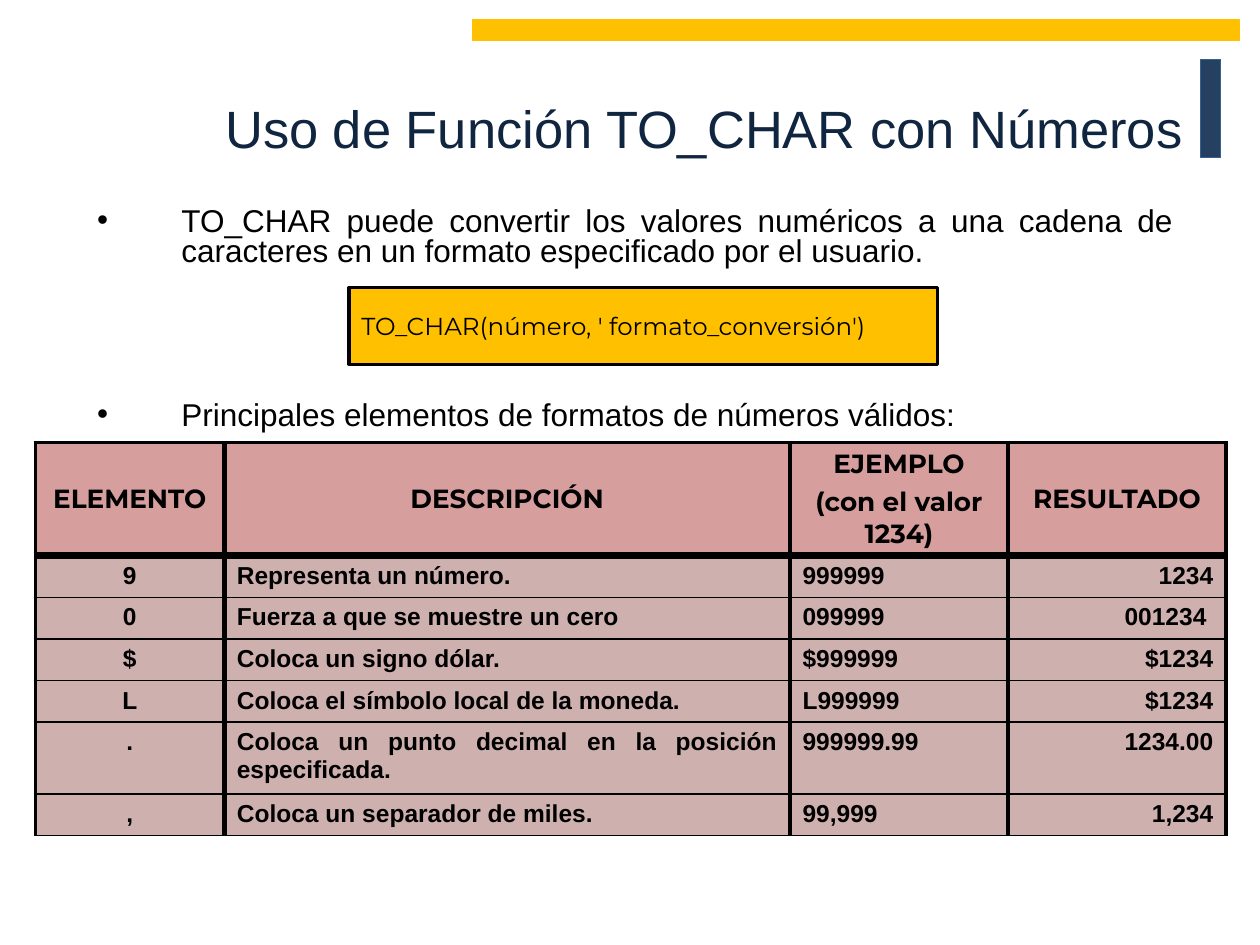
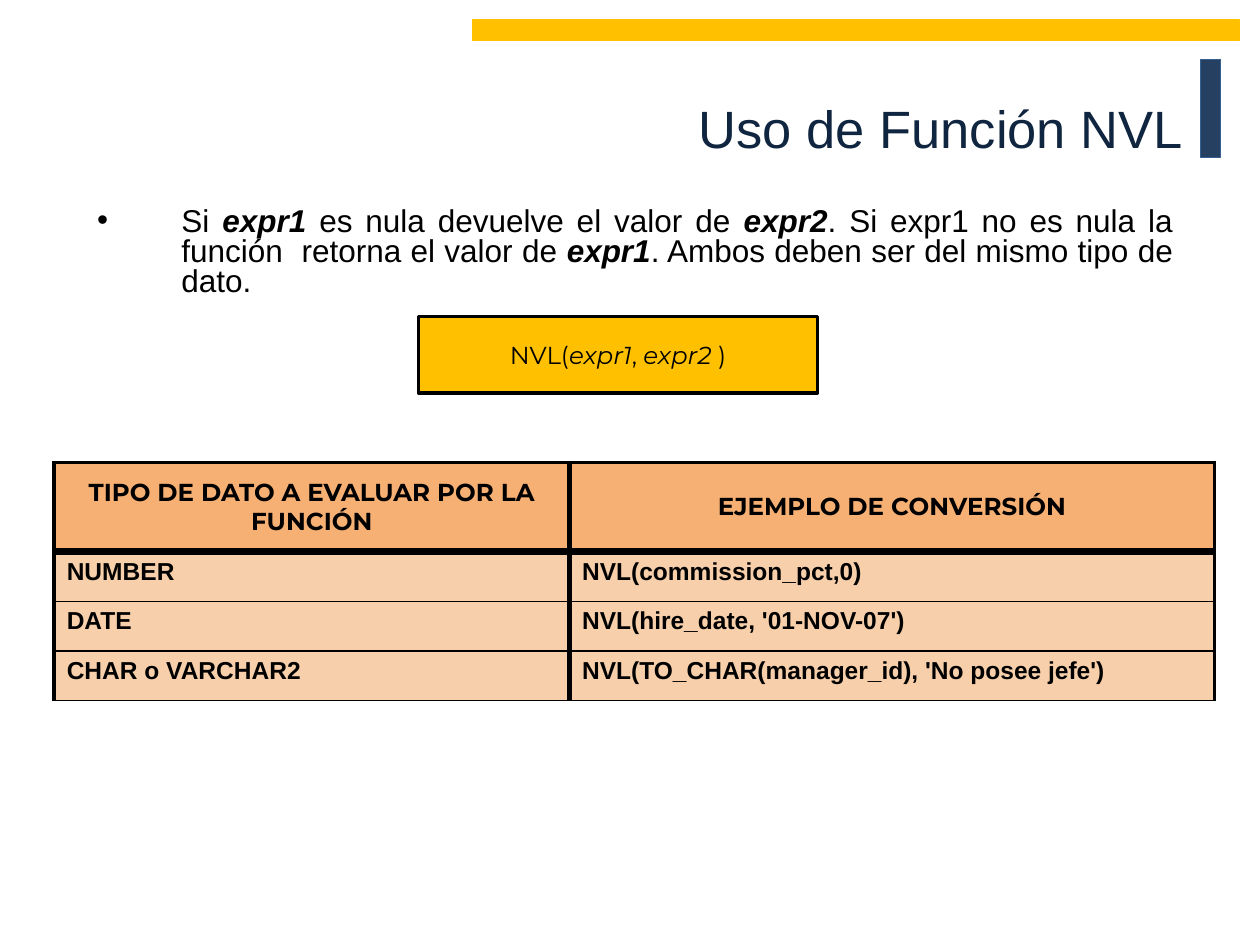
from dataclasses import dataclass

from lxml.etree import SubElement
from pptx import Presentation
from pptx.dml.color import RGBColor
from pptx.enum.shapes import MSO_SHAPE
from pptx.enum.text import MSO_ANCHOR, MSO_AUTO_SIZE, PP_ALIGN
from pptx.oxml.ns import qn
from pptx.util import Emu, Inches, Pt

# Shared look
COLORS = {
    "black": "000000",
    "navy": "254061",
    "navy_edge": "376092",
    "title": "10253F",
    "gold": "FFC000",
    "rose": "D69F9E",
    "rose_light": "CEB0AF",
    "orange": "F7B074",
    "orange_light": "F7CFAA",
}
SANS, DISPLAY = "Arial", "Montserrat"
LEFT, CENTER, RIGHT, JUSTIFY = (
    PP_ALIGN.LEFT, PP_ALIGN.CENTER, PP_ALIGN.RIGHT, PP_ALIGN.JUSTIFY)

# The slide is a grid of 100 columns and 75 rows of square units
SLIDE_WIDTH, SLIDE_HEIGHT = Inches(10), Inches(7.5)
UNIT = SLIDE_WIDTH / 100

# Table rule weights in points
OUTER, INNER, FIRST_COLUMN, HEADER_RULE, ROW_RULE = 2.25, 2.25, 3, 4.5, 1


@dataclass(frozen=True)
class Box:
    col: float
    row: float
    cols: float
    rows: float

    def place(self) -> tuple:
        return tuple(grid(n) for n in (self.col, self.row, self.cols, self.rows))


@dataclass(frozen=True)
class Bar:
    box: Box
    fill: str
    edge: str


@dataclass(frozen=True)
class Syntax:
    """Framed function call; parts between asterisks are italic."""
    box: Box
    text: str
    align: PP_ALIGN


@dataclass(frozen=True)
class Grid:
    box: Box
    widths: tuple
    heights: tuple
    aligns: tuple
    header_fill: str
    body_fill: str
    header_size: int
    rows: tuple


@dataclass(frozen=True)
class Topic:
    title: str
    bullets: tuple
    syntax: Syntax
    table: Grid


TITLE_BOX = Box(9.7, 2.1, 85.2, 16)
BODY_BOX = Box(6.7, 16, 87.4, 4.5)
BARS = (
    Bar(Box(95.3, 4.7, 1.6, 7.8), "navy", "navy_edge"),
    Bar(Box(37.5, 1.6, 60.9, 1.6), "gold", "gold"),
)
BULLET_GAP = Pt(76.5)  # leaves room for the syntax box between bullets

TOPICS = (
    Topic(
        "Uso de Función TO_CHAR con Números",
        ("TO_CHAR puede convertir los valores numéricos a una cadena de "
         "caracteres en un formato especificado por el usuario.",
         "Principales elementos de formatos de números válidos:"),
        Syntax(Box(27.7, 22.8, 46.7, 6.1),
               "TO_CHAR(número, ' formato_conversión')", LEFT),
        Grid(
            Box(2.8, 35.1, 94.5, 31.3),
            (15, 44.9, 17.3, 17.3),
            (9, 3.3, 3.3, 3.3, 3.3, 5.7, 3.3),
            (CENTER, JUSTIFY, LEFT, RIGHT),
            "rose", "rose_light", 15,
            (("ELEMENTO", "DESCRIPCIÓN", "EJEMPLO\n(con el valor 1234)", "RESULTADO"),
             ("9", "Representa un número.", "999999", "1234"),
             ("0", "Fuerza a que se muestre un cero", "099999", "001234 "),
             ("$", "Coloca un signo dólar.", "$999999", "$1234"),
             ("L", "Coloca el símbolo local de la moneda.", "L999999", "$1234"),
             (".", "Coloca un punto decimal en la posición especificada.",
              "999999.99", "1234.00"),
             (",", "Coloca un separador de miles.", "99,999", "1,234")),
        ),
    ),
    Topic(
        "Uso de Función NVL",
        ("Si *expr1* es nula devuelve el valor de *expr2*. Si expr1 no es nula "
         "la función  retorna el valor de *expr1*. Ambos deben ser del mismo "
         "tipo de dato.",),
        Syntax(Box(33.2, 25.1, 31.7, 6.1), "NVL(*expr1*, *expr2 *)", CENTER),
        Grid(
            Box(4.3, 36.7, 92.1, 18.9),
            (40.9, 51.2),
            (7.1, 3.93, 3.93, 3.93),
            (LEFT, LEFT),
            "orange", "orange_light", 14,
            (("TIPO DE DATO A EVALUAR POR LA FUNCIÓN", "EJEMPLO DE CONVERSIÓN"),
             ("NUMBER", "NVL(commission_pct,0)"),
             ("DATE", "NVL(hire_date, '01-NOV-07')"),
             ("CHAR o VARCHAR2", "NVL(TO_CHAR(manager_id), 'No posee jefe')")),
        ),
    ),
)


def grid(units: float) -> Emu:
    return Emu(round(units * UNIT))


def rgb(name: str) -> RGBColor:
    return RGBColor.from_string(COLORS[name])


def style_runs(paragraph, font: str, size: float, color: str = "black",
               bold: bool = False) -> None:
    for run in paragraph.runs:
        run.font.name = font
        run.font.size = Pt(size)
        run.font.bold = bold
        run.font.color.rgb = rgb(color)


def write_marked(paragraph, text: str, font: str, size: float,
                 bold_marks: bool) -> None:
    """Write text whose parts between asterisks are emphasised."""
    parts = text.split("*")
    for part in parts:
        paragraph.add_run().text = part
    style_runs(paragraph, font, size)
    for run in paragraph.runs[1::2]:
        run.font.italic = True
        run.font.bold = bold_marks


def add_block(slide, box: Box, fill: str, edge: str, weight: float):
    block = slide.shapes.add_shape(MSO_SHAPE.RECTANGLE, *box.place())
    block.shadow.inherit = False
    block.fill.solid()
    block.fill.fore_color.rgb = rgb(fill)
    block.line.color.rgb = rgb(edge)
    block.line.width = Pt(weight)
    return block


def set_place(shape, box: Box) -> None:
    shape.left, shape.top, shape.width, shape.height = box.place()


def write_title(slide, text: str) -> None:
    title = slide.shapes.title
    set_place(title, TITLE_BOX)
    frame = title.text_frame
    frame.text = text
    frame.auto_size = MSO_AUTO_SIZE.NONE
    frame.vertical_anchor = MSO_ANCHOR.MIDDLE
    frame.paragraphs[0].alignment = RIGHT
    style_runs(frame.paragraphs[0], SANS, 30, "title")


def write_bullets(slide, bullets: tuple) -> None:
    body = slide.placeholders[1]
    set_place(body, BODY_BOX)
    frame = body.text_frame
    frame.auto_size = MSO_AUTO_SIZE.NONE
    for index, text in enumerate(bullets):
        bullet = frame.add_paragraph() if index else frame.paragraphs[0]
        write_marked(bullet, text, SANS, 18, bold_marks=True)
        bullet.alignment = JUSTIFY
        bullet.line_spacing = 0.8
        if index:
            bullet.space_before = BULLET_GAP
        # Hanging indent
        properties = bullet._p.get_or_add_pPr()
        properties.set("marL", str(grid(6.7)))
        properties.set("indent", str(-grid(6.7)))


def add_syntax(slide, syntax: Syntax) -> None:
    frame = add_block(slide, syntax.box, "gold", "black", 1.75).text_frame
    frame.word_wrap = True
    frame.vertical_anchor = MSO_ANCHOR.MIDDLE
    call = frame.paragraphs[0]
    call.alignment = syntax.align
    write_marked(call, syntax.text, DISPLAY, 14, bold_marks=False)


def set_borders(cell, weights: dict) -> None:
    properties = cell._tc.get_or_add_tcPr()
    for side, weight in weights.items():
        line = SubElement(properties, qn(f"a:ln{side}"), w=str(Pt(weight)))
        fill = SubElement(line, qn("a:solidFill"))
        SubElement(fill, qn("a:srgbClr"), val=COLORS["black"])


def add_grid(slide, spec: Grid) -> None:
    last_col = len(spec.widths) - 1
    table = slide.shapes.add_table(
        len(spec.rows), len(spec.widths), *spec.box.place()).table
    table.first_row = table.horz_banding = False
    for column, width in zip(table.columns, spec.widths):
        column.width = grid(width)
    for row, height in zip(table.rows, spec.heights):
        row.height = grid(height)

    # Weights of the rules, from the outer left and top edges inwards
    uprights = [OUTER, FIRST_COLUMN] + [INNER] * (last_col - 1) + [OUTER]
    levels = [OUTER, HEADER_RULE] + [ROW_RULE] * (len(spec.rows) - 1)

    for r, texts in enumerate(spec.rows):
        header = r == 0
        for c, text in enumerate(texts):
            cell = table.cell(r, c)
            set_borders(cell, {"L": uprights[c], "R": uprights[c + 1],
                               "T": levels[r], "B": levels[r + 1]})
            cell.fill.solid()
            cell.fill.fore_color.rgb = rgb(
                spec.header_fill if header else spec.body_fill)
            cell.vertical_anchor = MSO_ANCHOR.MIDDLE if header else MSO_ANCHOR.TOP
            cell.text_frame.text = text
            for index, paragraph in enumerate(cell.text_frame.paragraphs):
                paragraph.alignment = CENTER if header else spec.aligns[c]
                if index:
                    paragraph.space_before = Pt(3)
                style_runs(paragraph, DISPLAY if header else SANS,
                           spec.header_size if header else 14, bold=True)


def add_topic(deck, topic: Topic) -> None:
    slide = deck.slides.add_slide(deck.slide_layouts[1])
    for bar in BARS:
        add_block(slide, bar.box, bar.fill, bar.edge, 0.75)
    write_title(slide, topic.title)
    write_bullets(slide, topic.bullets)
    add_syntax(slide, topic.syntax)
    add_grid(slide, topic.table)


def main() -> None:
    deck = Presentation()
    deck.slide_width, deck.slide_height = SLIDE_WIDTH, SLIDE_HEIGHT
    for topic in TOPICS:
        add_topic(deck, topic)
    deck.save("out.pptx")


if __name__ == "__main__":
    main()
